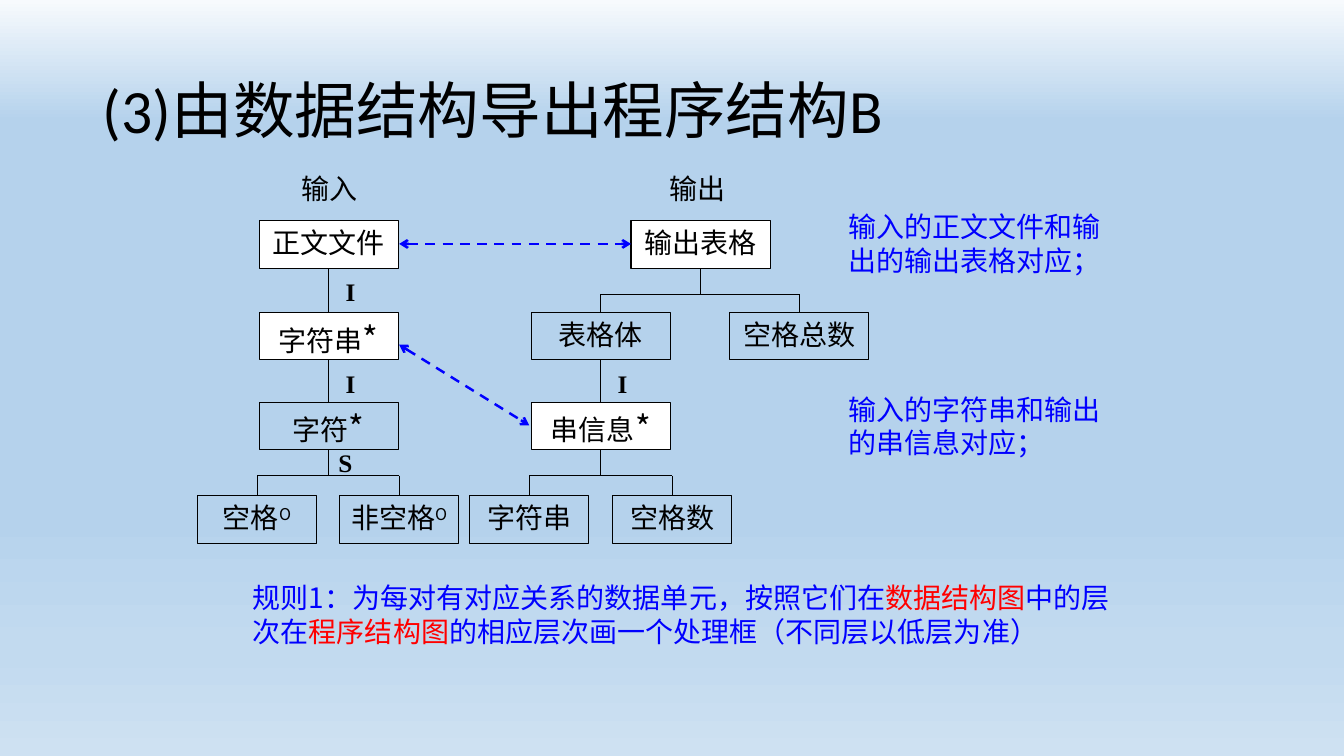
from lxml.etree import SubElement
from pptx import Presentation
from pptx.dml.color import RGBColor
from pptx.enum.dml import MSO_LINE
from pptx.enum.shapes import MSO_CONNECTOR, MSO_SHAPE
from pptx.enum.text import MSO_ANCHOR, MSO_AUTO_SIZE, PP_ALIGN
from pptx.oxml.ns import qn
from pptx.util import Emu, Pt

PX = 9144  # EMU in one px, 100 px to the inch
COLORS = {"black": "000000", "white": "FFFFFF", "blue": "0000FF", "red": "FF0000"}
BACKGROUND = [(0, "F7FAFD"), (16, "B5D2EC"), (71, "B8D4ED"), (86, "C2DAEF"), (100, "CEE1F2")]
CJK, SERIF, TITLE_FONT = "Noto Sans CJK SC", "Times New Roman", "Calibri"

TITLE = "(3)由数据结构导出程序结构B"
ROWS = [219, 310, 399, 492]
BOX_H, WIDE, NARROW = 47, 138, 118
BUS_DROP = 26

# name: (text, mark, centre x, row, white fill)
BOXES = {
    "text file": ("正文文件", "", 326, 0, True),
    "string": ("字符串", "*", 326, 1, True),
    "character": ("字符", "*", 326, 2, False),
    "space": ("空格", "O", 255, 3, False),
    "non-space": ("非空格", "O", 396, 3, False),
    "output table": ("输出表格", "", 695, 0, True),
    "table body": ("表格体", "", 596, 1, False),
    "space total": ("空格总数", "", 793, 1, False),
    "string info": ("串信息", "*", 596, 2, True),
    "info string": ("字符串", "", 525, 3, False),
    "space count": ("空格数", "", 667, 3, False),
}
# (parent, children, label, label offset from the parent's bottom centre)
LINKS = [
    ("text file", ["string"], "I", (7, 3)),
    ("string", ["character"], "I", (7, 3)),
    ("character", ["space", "non-space"], "S", (0, -7)),
    ("output table", ["table body", "space total"], "", None),
    ("table body", ["string info"], "I", (7, 3)),
    ("string info", ["info string", "space count"], "", None),
]
MATCHES = [(396, 242, 626, 242), (396, 342, 525, 422)]
HEADINGS = [("输入", 260), ("输出", 626)]
NOTES = [
    ((832, 203, 276, 77), [("输入的正文文件和输出的输出表格对应；", "blue")]),
    ((832, 384, 276, 77), [("输入的字符串和输出的串信息对应；", "blue")]),
    ((241, 571, 874, 77), [
        ("规则1：为每对有对应关系的数据单元，按照它们在", "blue"),
        ("数据结构图", "red"),
        ("中的层次在", "blue"),
        ("程序结构图", "red"),
        ("的相应层次画一个处理框（不同层以低层为准）", "blue"),
    ]),
]


def px(*values):
    return [Emu(v * PX) for v in values]


def rgb(name):
    return RGBColor.from_string(COLORS[name])


def add_run(p, text, size=20, color="black", font=CJK, bold=False):
    r = p.add_run()
    r.text = text
    r.font.size = Pt(size)
    r.font.bold = bold
    r.font.color.rgb = rgb(color)
    r.font.name = font
    SubElement(r.font._element, qn("a:ea"), typeface=CJK)
    return r


def add_text(area, align=PP_ALIGN.LEFT):
    tf = s.shapes.add_textbox(*px(*area)).text_frame
    tf.word_wrap = True
    tf.auto_size = MSO_AUTO_SIZE.SHAPE_TO_FIT_TEXT
    tf.paragraphs[0].alignment = align
    return tf.paragraphs[0]


def add_line(x1, y1, x2, y2, color="black", width=0.75):
    line = s.shapes.add_connector(MSO_CONNECTOR.STRAIGHT, *px(x1, y1, x2, y2))
    line.line.color.rgb = rgb(color)
    line.line.width = Pt(width)
    SubElement(line._element.spPr, qn("a:effectLst"))
    return line


def add_box(text, mark, center, row, white):
    width = NARROW if row == 3 else WIDE
    sp = s.shapes.add_shape(MSO_SHAPE.RECTANGLE,
                            *px(center - width // 2, ROWS[row], width, BOX_H))
    sp.shadow.inherit = False
    if white:
        sp.fill.solid()
        sp.fill.fore_color.rgb = rgb("white")
    else:
        sp.fill.background()
    sp.line.color.rgb = rgb("black")
    sp.line.width = Pt(0.75)
    tf = sp.text_frame
    tf.word_wrap = True
    tf.vertical_anchor = MSO_ANCHOR.TOP
    tf.margin_left, tf.margin_top, tf.margin_right, tf.margin_bottom = px(2, 5, 2, 1)
    p = tf.paragraphs[0]
    p.alignment = PP_ALIGN.CENTER
    add_run(p, text)
    if mark == "*":
        add_run(p, mark, 24)
    elif mark:
        add_run(p, mark).font._element.set("baseline", "30000")


def add_link(parent, children, label, offset):
    x, row = BOXES[parent][2:4]
    bottom, top = ROWS[row] + BOX_H, ROWS[row + 1]
    if len(children) == 1:
        add_line(x, bottom, x, top)
    else:
        bus = bottom + BUS_DROP
        ends = [BOXES[child][2] for child in children]
        add_line(x, bottom, x, bus)
        add_line(ends[0], bus, ends[-1], bus)
        for end in ends:
            add_line(end, bus, end, top)
    if label:
        p = add_text((x + offset[0], bottom + offset[1], 50, 40))
        add_run(p, label, 18, font=SERIF, bold=True)


prs = Presentation()
prs.slide_width, prs.slide_height = Emu(12192000), Emu(750 * PX)
s = prs.slides.add_slide(prs.slide_layouts[5])

# Background gradient
fill = s.background.fill
fill.gradient()
fill.gradient_angle = 270
stops = s._element.find(".//" + qn("a:gsLst"))
for stop in list(stops):
    stops.remove(stop)
for position, color in BACKGROUND:
    stop = SubElement(stops, qn("a:gs"), pos=str(position * 1000))
    SubElement(stop, qn("a:srgbClr"), val=color)

# Title
title = s.shapes.title
title.left, title.top, title.width, title.height = px(92, 40, 1150, 145)
tf = title.text_frame
tf.auto_size = MSO_AUTO_SIZE.NONE
tf.vertical_anchor = MSO_ANCHOR.MIDDLE
p = tf.paragraphs[0]
p.alignment = PP_ALIGN.LEFT
p.line_spacing = 0.9
add_run(p, TITLE, 44, font=TITLE_FONT)

# Input and output trees
for box in BOXES.values():
    add_box(*box)
for link in LINKS:
    add_link(*link)
for text, left in HEADINGS:
    add_run(add_text((left, 165, 133, 44), PP_ALIGN.CENTER), text)

# Dashed arrows between matching units
for ends in MATCHES:
    arrow = add_line(*ends, color="blue", width=1.75)
    arrow.line.dash_style = MSO_LINE.DASH
    ln = arrow.line._get_or_add_ln()
    for end in ("a:headEnd", "a:tailEnd"):
        SubElement(ln, qn(end), type="arrow")

# Notes and rule
for area, runs in NOTES:
    p = add_text(area)
    for text, color in runs:
        add_run(p, text, color=color)

prs.save("out.pptx")
